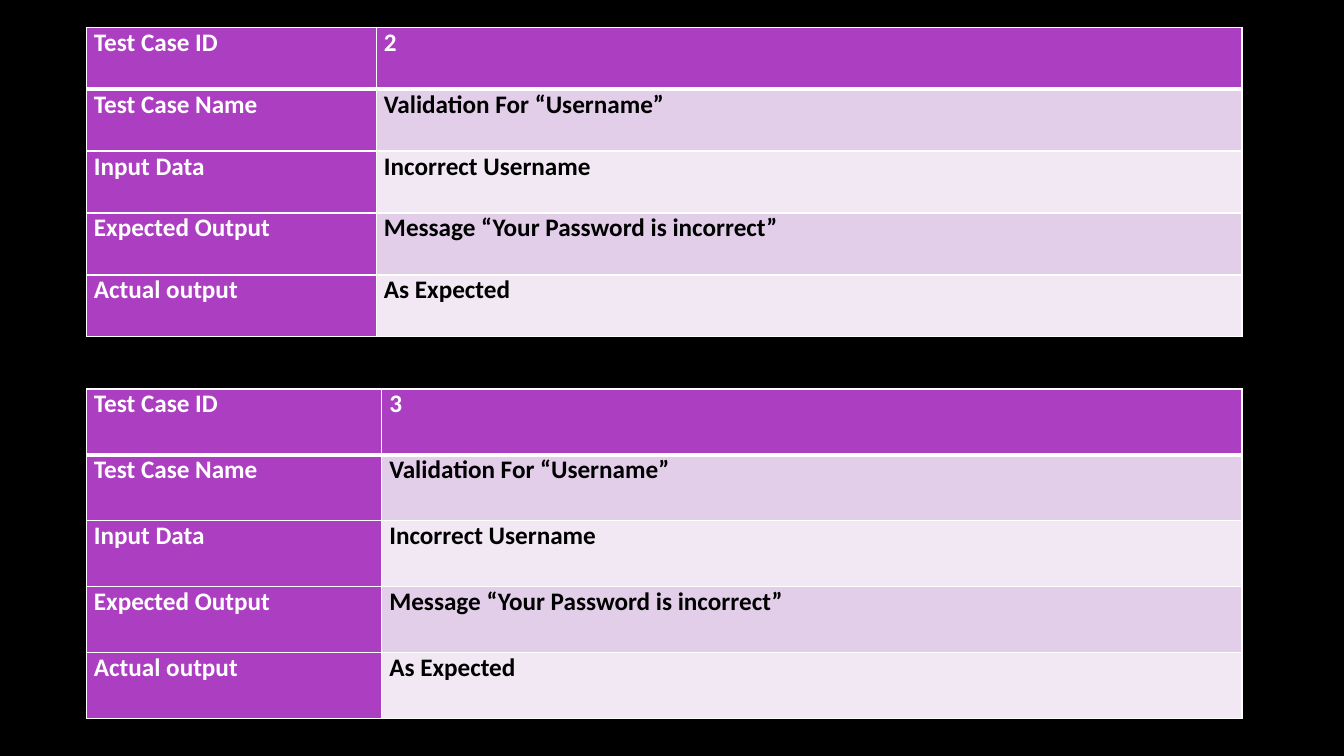
import dataclasses

import lxml.etree
import pptx
import pptx.dml.color
import pptx.oxml.ns
import pptx.util

Pt = pptx.util.Pt


@dataclasses.dataclass(frozen=True)
class Theme:
    back: str = "000000"
    head: str = "AC3EC1"
    bands: tuple[str, str] = ("F1E8F4", "E3CEE9")
    light: str = "FFFFFF"
    dark: str = "000000"
    font: str = "Calibri"
    size: float = 18
    thin: float = 1
    thick: float = 3


@dataclasses.dataclass(frozen=True)
class Case:
    ident: str
    top: float
    split: float
    row: float


THEME = Theme()
LEFT, WIDTH = 61.7, 825.5
LABELS = ("Test Case ID", "Test Case Name", "Input Data",
          "Expected Output", "Actual output")
VALUES = ("Validation For “Username”", "Incorrect Username",
          "Message “Your Password is incorrect”", "As Expected")
CASES = (
    Case("2", top=19.4, split=207.2, row=44.25),
    Case("3", top=277.8, split=211, row=47.1),
)
CELL = {"margin_left": Pt(5.4), "margin_right": Pt(5.4),
        "margin_top": 0, "margin_bottom": 0}
FONT = {"name": THEME.font, "size": Pt(THEME.size), "bold": True}


def paint(fill, tone: str) -> None:
    fill.solid()
    fill.fore_color.rgb = pptx.dml.color.RGBColor.from_string(tone)


def apply(target, values: dict) -> None:
    for name, value in values.items():
        setattr(target, name, value)


def edge(cell, row: int) -> None:
    """Draw the cell borders, with a thick rule under the header row."""
    qn = pptx.oxml.ns.qn
    props = cell._tc.get_or_add_tcPr()
    for side in "LRTB":
        thick = (row, side) in ((0, "B"), (1, "T"))
        width = Pt(THEME.thick if thick else THEME.thin)
        line = lxml.etree.SubElement(props, qn(f"a:ln{side}"), w=str(width))
        solid = lxml.etree.SubElement(line, qn("a:solidFill"))
        lxml.etree.SubElement(solid, qn("a:srgbClr"), val=THEME.light)


def write(cell, text: str, row: int, col: int) -> None:
    head = row == 0 or col == 0
    edge(cell, row)
    paint(cell.fill, THEME.head if head else THEME.bands[row % 2])
    apply(cell, CELL)
    cell.text = text
    font = cell.text_frame.paragraphs[0].runs[0].font
    apply(font, FONT)
    paint(font.fill, THEME.light if head else THEME.dark)


def draw(slide, case: Case) -> None:
    lines = list(zip(LABELS, (case.ident, *VALUES)))
    frame = slide.shapes.add_table(
        len(lines), 2, Pt(LEFT), Pt(case.top),
        Pt(WIDTH), Pt(case.row * len(lines)))
    table = frame.table
    for col, width in enumerate((case.split, WIDTH - case.split)):
        table.columns[col].width = Pt(width)
    for row, texts in enumerate(lines):
        table.rows[row].height = Pt(case.row)
        for col, text in enumerate(texts):
            write(table.cell(row, col), text, row, col)


def main() -> None:
    deck = pptx.Presentation()
    apply(deck, {"slide_width": Pt(960), "slide_height": Pt(540)})
    slide = deck.slides.add_slide(deck.slide_layouts.get_by_name("Blank"))
    paint(slide.background.fill, THEME.back)
    for case in CASES:
        draw(slide, case)
    deck.save("out.pptx")


if __name__ == "__main__":
    main()
